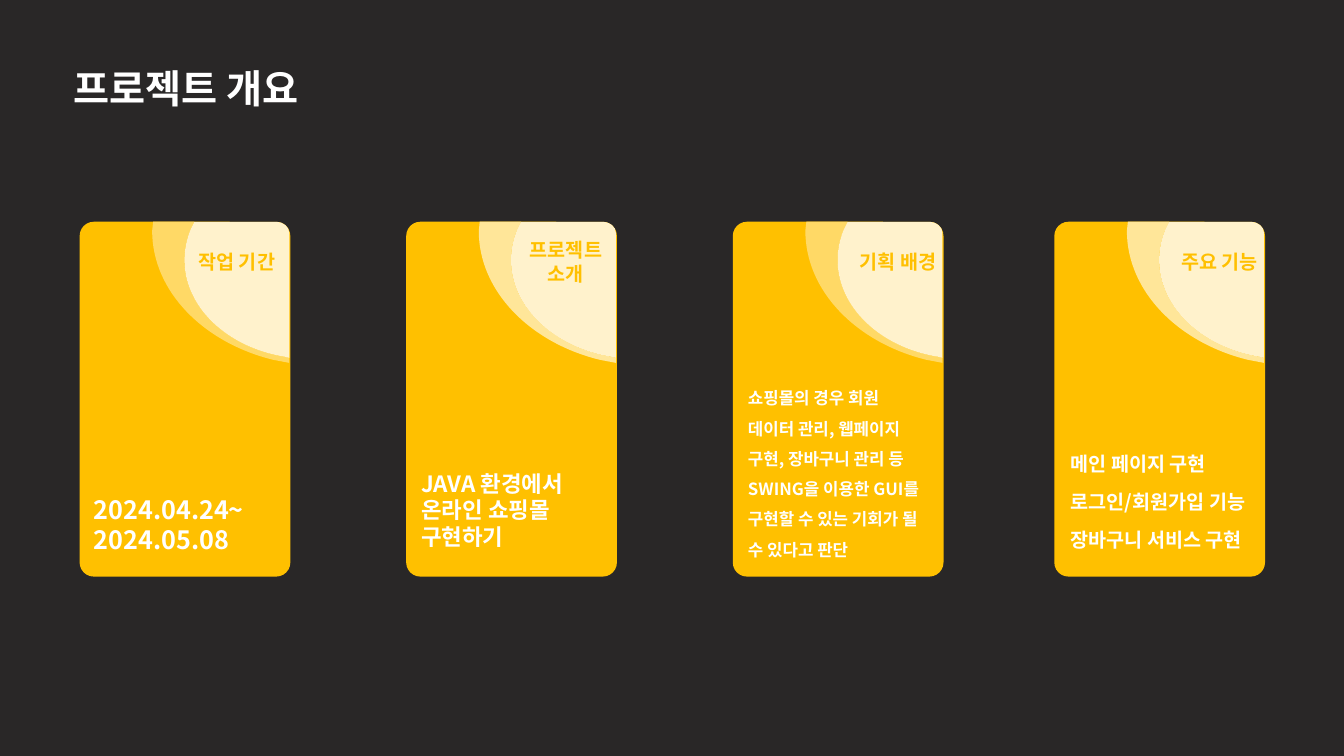
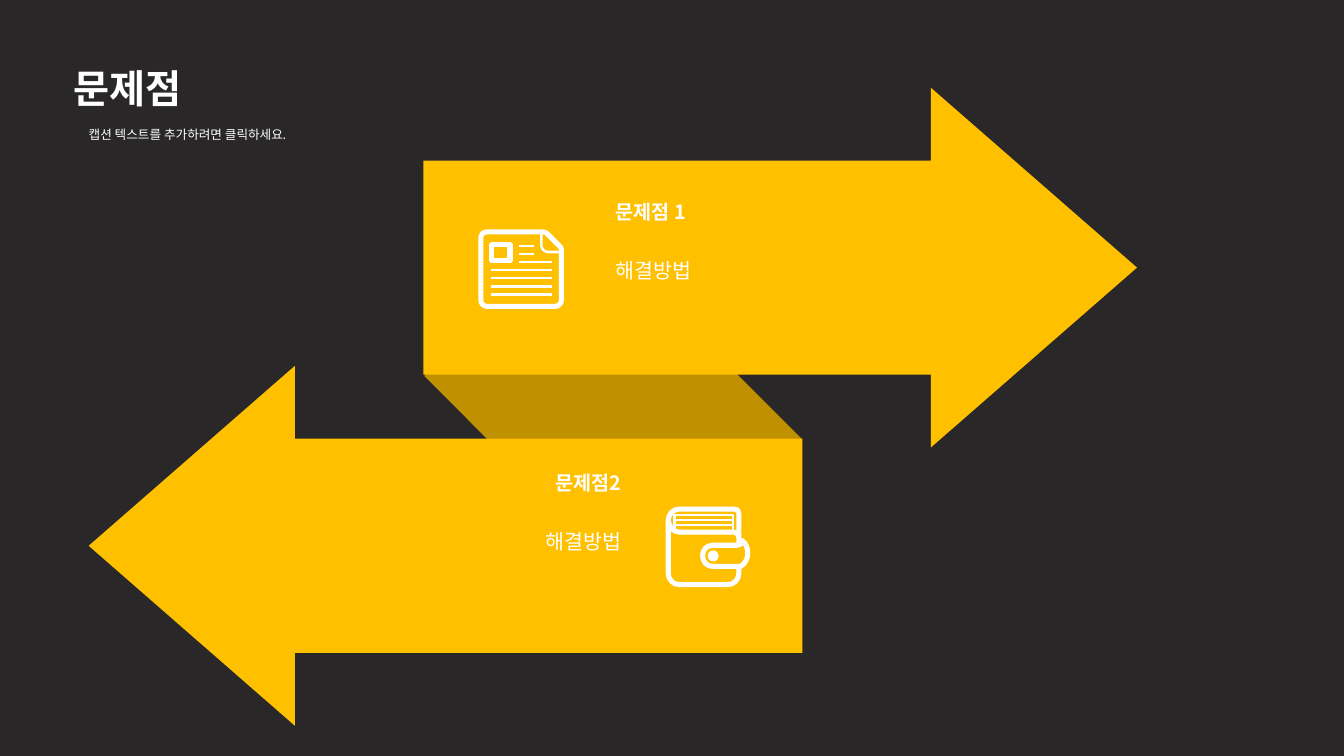
from dataclasses import dataclass

from lxml import etree
from pptx import Presentation
from pptx.dml.color import RGBColor
from pptx.enum.shapes import MSO_CONNECTOR, MSO_SHAPE
from pptx.enum.text import MSO_ANCHOR, MSO_AUTO_SIZE, PP_ALIGN
from pptx.oxml.ns import qn
from pptx.util import Inches, Pt

LEFT, CENTER, RIGHT = PP_ALIGN.LEFT, PP_ALIGN.CENTER, PP_ALIGN.RIGHT
TOP, MIDDLE = MSO_ANCHOR.TOP, MSO_ANCHOR.MIDDLE
ROUNDED, RECTANGLE, OVAL = MSO_SHAPE.ROUNDED_RECTANGLE, MSO_SHAPE.RECTANGLE, MSO_SHAPE.OVAL
RIGHT_ARROW, LEFT_ARROW = MSO_SHAPE.RIGHT_ARROW, MSO_SHAPE.LEFT_ARROW
STRAIGHT = MSO_CONNECTOR.STRAIGHT
NO_AUTOFIT = MSO_AUTO_SIZE.NONE
TITLE_ONLY, TITLE_AND_TEXT = 5, 2


@dataclass(frozen=True)
class Theme:
    font: str = "Noto Sans CJK KR"
    background: str = "292727"
    accent: str = "FFC000"
    fold: str = "BF9000"
    rings: tuple = ("FFD966", "FFE699")
    glow: str = "FFF2CC"
    text: str = "FFFFFF"
    title_size: float = 28
    label_size: float = 14
    solution_size: float = 14.7
    caption_size: float = 9
    thick: float = 3.6
    thin: float = 1.8


THEME = Theme()

# Card geometry; the curves are measured from the card's top left corner
CARD_TOP, CARD_WIDTH, CARD_HEIGHT = 2.2, 2.09, 3.52
RING = [(0.73, 0), (1.14, 0), (1.1, 0.08), (1.06, 0.18, 1.04, 0.28, 1.04, 0.38),
        (1.04, 0.85, 1.47, 1.25, 2.04, 1.34), (2.08, 1.35), (2.08, 1.4), (1.92, 1.37),
        (1.23, 1.2, 0.72, 0.69, 0.72, 0.09)]
GLOW = [(1.14, 0), (1.95, 0), (2.02, 0, 2.08, 0.05, 2.08, 0.11), (2.08, 1.35),
        (2.04, 1.34), (1.47, 1.25, 1.04, 0.85, 1.04, 0.38),
        (1.04, 0.28, 1.06, 0.18, 1.1, 0.08)]

# Icon outlines
PAGE = [(4.83, 2.3), (5.38, 2.3), (5.41, 2.3, 5.42, 2.31, 5.43, 2.32), (5.55, 2.44),
        (5.56, 2.45, 5.57, 2.46, 5.57, 2.48), (5.57, 2.98),
        (5.57, 3.01, 5.54, 3.04, 5.51, 3.04), (4.83, 3.04),
        (4.8, 3.04, 4.77, 3.01, 4.77, 2.98), (4.77, 2.35),
        (4.77, 2.32, 4.8, 2.3, 4.83, 2.3)]
PAGE_CORNER = [(5.37, 2.31), (5.37, 2.43), (5.37, 2.47, 5.4, 2.5, 5.44, 2.5), (5.56, 2.5)]
WALLET = [(7.33, 5.4), (7.33, 5.09), (7.33, 5.06, 7.31, 5.05, 7.28, 5.05), (6.74, 5.05),
          (6.68, 5.05, 6.63, 5.1, 6.63, 5.16), (6.63, 5.69),
          (6.63, 5.75, 6.68, 5.8, 6.74, 5.8), (7.22, 5.8),
          (7.28, 5.8, 7.33, 5.75, 7.33, 5.69), (7.33, 5.63)]
WALLET_FLAP = [(6.63, 5.16), (6.63, 5.22, 6.68, 5.28, 6.74, 5.28), (7.28, 5.28),
               (7.31, 5.28, 7.33, 5.3, 7.33, 5.33)]
WALLET_STRAP = [(7.07, 5.41), (7.31, 5.41), (7.34, 5.41, 7.37, 5.39, 7.36, 5.36),
                (7.44, 5.42, 7.44, 5.56, 7.35, 5.62), (7.07, 5.62),
                (7.01, 5.62, 6.97, 5.57, 6.97, 5.51), (6.97, 5.46, 7.01, 5.41, 7.07, 5.41)]


@dataclass(frozen=True)
class Card:
    left: float
    label: str
    label_offset: float
    label_width: float
    body: tuple
    body_top: float
    size: float
    body_offset: float = 0.15
    body_width: float = 1.79
    label_align: int = LEFT
    line_spacing: float = 1.0
    space_before: float = 0


CARDS = (
    Card(0.79, "작업 기간", 1.08, 1, ("2024.04.24~", "2024.05.08"), 4.9, 18, body_offset=0.14),
    Card(4.03, "프로젝트\n소개", 1.19, 0.79,
         ("JAVA 환경에서 온라인 쇼핑몰 구현하기",), 4.66, 16, label_align=CENTER),
    Card(7.27, "기획 배경", 1.16, 0.8,
         ("쇼핑몰의 경우 회원 데이터 관리, 웹페이지 구현, 장바구니 관리 등 "
          "SWING을 이용한 GUI를 구현할 수 있는 기회가 될 수 있다고 판단",),
         3.75, 12, line_spacing=1.5),
    Card(10.46, "주요 기능", 1.16, 0.78,
         ("메인 페이지 구현", "로그인/회원가입 기능", "장바구니 서비스 구현"),
         4.51, 14, body_offset=0.16, body_width=2, line_spacing=0.9, space_before=12),
)


# Text
def write(frame, paragraphs, size, color=THEME.text, bold=False, align=LEFT, anchor=TOP,
          wrap=True, inset=True, line_spacing=1.0, space_before=0):
    frame.word_wrap = wrap
    frame.auto_size = NO_AUTOFIT
    frame.vertical_anchor = anchor
    if not inset:
        frame.margin_left = frame.margin_right = frame.margin_top = frame.margin_bottom = 0
    for index, text in enumerate(paragraphs):
        paragraph = frame.add_paragraph() if index else frame.paragraphs[0]
        paragraph.text = text
        paragraph.alignment = align
        paragraph.line_spacing = line_spacing
        paragraph.space_before = Pt(space_before)
        font = paragraph.font
        font.name, font.size, font.bold = THEME.font, Pt(size), bold
        font.color.rgb = RGBColor.from_string(color)
        defaults = paragraph._p.pPr.find(qn("a:defRPr"))
        etree.SubElement(defaults, qn("a:ea"), typeface=THEME.font)


def add_text(slide, box, paragraphs, size, **style):
    textbox = slide.shapes.add_textbox(*map(Inches, box))
    write(textbox.text_frame, paragraphs, size, **style)


def fill_placeholder(placeholder, box, text, size, **style):
    placeholder.left, placeholder.top, placeholder.width, placeholder.height = map(Inches, box)
    write(placeholder.text_frame, [text], size, inset=False, **style)


def add_titled_slide(prs, layout, title, width, height):
    slide = prs.slides.add_slide(prs.slide_layouts[layout])
    fill_placeholder(slide.shapes.title, (0.73, 0.64, width, height), title,
                     THEME.title_size, bold=True)
    return slide


# Shapes
def paint(shape, fill=None, line=None, width=0):
    shape.shadow.inherit = False
    if fill:
        shape.fill.solid()
        shape.fill.fore_color.rgb = RGBColor.from_string(fill)
    else:
        shape.fill.background()
    if line:
        shape.line.color.rgb = RGBColor.from_string(line)
        shape.line.width = Pt(width)
    else:
        shape.line.fill.background()


def add_preset(slide, kind, box, adjustments=(), **look):
    shape = slide.shapes.add_shape(kind, *map(Inches, box))
    for index, value in enumerate(adjustments):
        shape.adjustments[index] = value
    paint(shape, **look)


def bend(shape, segments):
    """Join the three lines of each six-number segment into one cubic curve."""
    lines = shape._element.iter(qn("a:lnTo"))
    remaining = iter(list(lines))
    for segment in segments:
        line = next(remaining)
        if len(segment) == 6:
            line.tag = qn("a:cubicBezTo")
            for _ in range(2):
                extra = next(remaining)
                line.append(extra[0])
                extra.getparent().remove(extra)


def add_outline(slide, outline, left=0, top=0, close=True, **look):
    """Draw an outline of points (two numbers) and cubic curves (six numbers)."""
    points = [(Inches(left + segment[i]), Inches(top + segment[i + 1]))
              for segment in outline for i in range(0, len(segment), 2)]
    builder = slide.shapes.build_freeform(*points[0])
    builder.add_line_segments(points[1:], close=close)
    shape = builder.convert_to_shape()
    bend(shape, outline[1:])
    paint(shape, **look)


def add_rule(slide, left, right, y):
    rule = slide.shapes.add_connector(STRAIGHT, *map(Inches, (left, y, right, y)))
    rule.line.color.rgb = RGBColor.from_string(THEME.text)
    rule.line.width = Pt(THEME.thin)
    etree.SubElement(rule._element.spPr, qn("a:effectLst"))


# Content parts
def add_card(slide, card, ring_color):
    add_preset(slide, ROUNDED, (card.left, CARD_TOP, CARD_WIDTH, CARD_HEIGHT),
               [0.067], fill=THEME.accent)
    add_outline(slide, RING, card.left, CARD_TOP, fill=ring_color)
    add_outline(slide, GLOW, card.left, CARD_TOP, fill=THEME.glow)
    add_text(slide, (card.left + card.label_offset, 2.21, card.label_width, 0.77),
             [card.label], THEME.label_size, color=THEME.accent, bold=True,
             align=card.label_align, anchor=MIDDLE, wrap=False)
    add_text(slide, (card.left + card.body_offset, card.body_top,
                     card.body_width, 5.51 - card.body_top),
             card.body, card.size, bold=True, inset=False,
             line_spacing=card.line_spacing, space_before=card.space_before)


def add_newspaper_icon(slide):
    add_outline(slide, PAGE, line=THEME.text, width=THEME.thick)
    add_outline(slide, PAGE_CORNER, close=False, line=THEME.text, width=THEME.thin)
    add_preset(slide, RECTANGLE, (4.88, 2.43, 0.18, 0.16), line=THEME.text, width=THEME.thick)
    for row in range(7):
        left = 5.15 if row < 3 else 4.87
        right = 5.3 if row < 2 else 5.48
        add_rule(slide, left, right, 2.44 + 0.08 * row)


def add_wallet_icon(slide):
    for outline, close in ((WALLET, False), (WALLET_FLAP, False), (WALLET_STRAP, True)):
        add_outline(slide, outline, close=close, line=THEME.text, width=THEME.thick)
    add_preset(slide, RECTANGLE, (6.69, 5.11, 0.58, 0.16), line=THEME.text, width=THEME.thin)
    for y in (5.16, 5.21):
        add_rule(slide, 6.69, 7.27, y)
    add_preset(slide, OVAL, (7.02, 5.46, 0.11, 0.11), fill=THEME.text)


def add_problem(slide, heading, heading_left, solution_left, top, align):
    add_text(slide, (heading_left, top, 2.2, 0.51), [heading], THEME.label_size,
             bold=True, align=align, wrap=False)
    add_text(slide, (solution_left, top + 0.58, 3.58, 0.77), ["해결방법"],
             THEME.solution_size, align=align)


# Slides
def build_overview(prs):
    slide = add_titled_slide(prs, TITLE_ONLY, "프로젝트 개요", 4.32, 0.51)
    for index, card in enumerate(CARDS):
        add_card(slide, card, THEME.rings[index % 2])


def build_problems(prs):
    slide = add_titled_slide(prs, TITLE_AND_TEXT, "문제점", 3.07, 0.47)
    fill_placeholder(slide.placeholders[1], (0.88, 1.26, 2.4, 0.15),
                     "캡션 텍스트를 추가하려면 클릭하세요.", THEME.caption_size)
    add_outline(slide, [(7.96, 4.36), (6.39, 5.92), (4.21, 3.73), (5.46, 1.86)],
                fill=THEME.fold)
    for kind, left, top in ((RIGHT_ARROW, 4.2, 0.87), (LEFT_ARROW, 0.88, 3.63)):
        add_preset(slide, kind, (left, top, 7.08, 3.57), [0.595, 0.573], fill=THEME.accent)
    add_newspaper_icon(slide)
    add_wallet_icon(slide)
    add_problem(slide, "문제점 1", 6.01, 6.01, 1.93, LEFT)
    add_problem(slide, "문제점2", 4.06, 2.68, 4.62, RIGHT)


def main():
    prs = Presentation()
    prs.slide_width, prs.slide_height = Inches(40 / 3), Inches(7.5)
    backdrop = prs.slide_master.background.fill
    backdrop.solid()
    backdrop.fore_color.rgb = RGBColor.from_string(THEME.background)
    build_overview(prs)
    build_problems(prs)
    prs.save("out.pptx")


if __name__ == "__main__":
    main()
